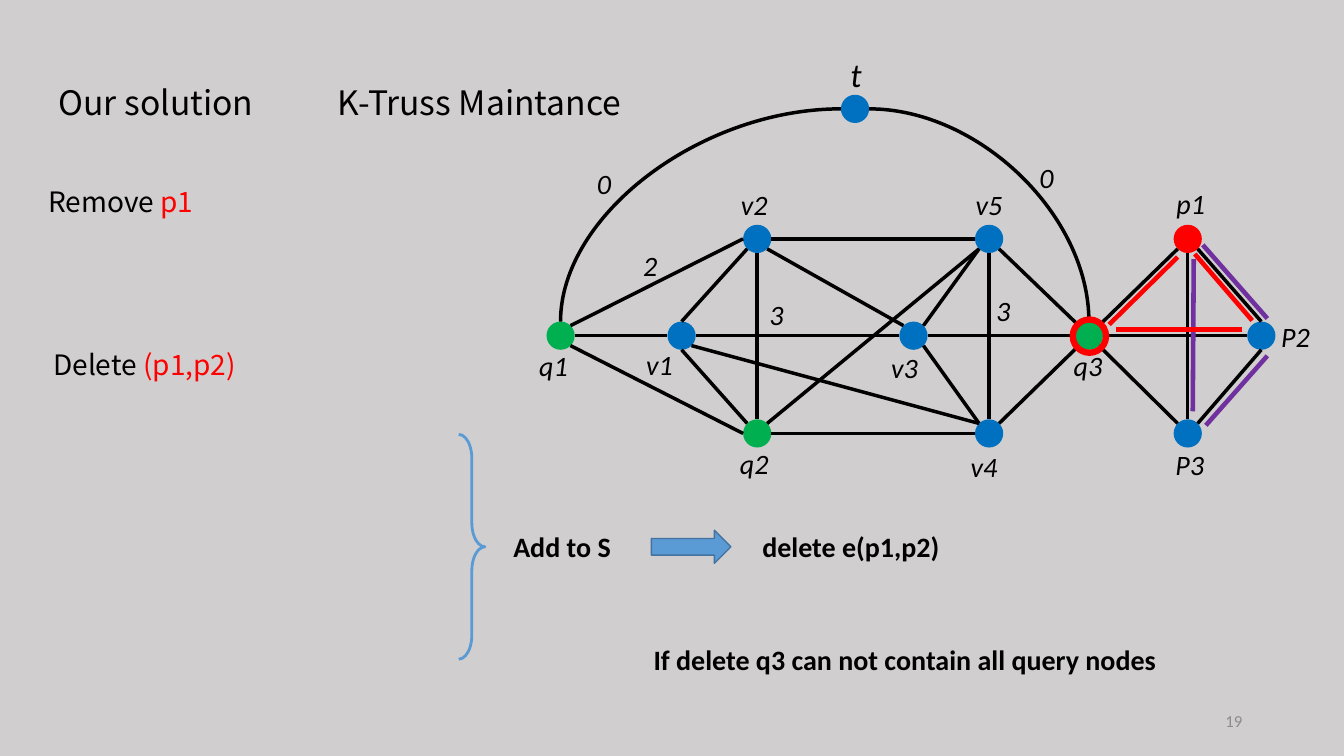
"""Build the K-Truss maintenance slide."""
import math
from typing import NamedTuple, Optional

import pptx
import pptx.dml.color
import pptx.enum.shapes
import pptx.enum.text
import pptx.oxml.ns
import pptx.util
from lxml import etree

Inches = pptx.util.Inches
Pt = pptx.util.Pt
SHAPE = pptx.enum.shapes.MSO_SHAPE
CONNECTOR = pptx.enum.shapes.MSO_CONNECTOR
ALIGN = pptx.enum.text.PP_ALIGN
ANCHOR = pptx.enum.text.MSO_ANCHOR
AUTO = pptx.enum.text.MSO_AUTO_SIZE

BLACK, RED, GREEN, BLUE, PURPLE = "000000", "FF0000", "00B050", "0070C0", "7030A0"
SKY, STEEL, GRAY, BACKDROP = "5B9BD5", "43739E", "8C8C8C", "D0CECE"
SANS, CJK = "Calibri", "Noto Sans CJK SC"
RADIUS = 0.14
LABEL_W, LABEL_H = 0.58, 0.44
COMPASS = ["E", "SE", "S", "SW", "W", "NW", "N", "NE"]


class Node(NamedTuple):
    name: str
    x: float
    y: float
    color: str
    label_left: float
    label_top: float
    size: int = 20


class Edge(NamedTuple):
    start: str
    start_side: str
    end: str
    end_side: str
    kind: int = CONNECTOR.STRAIGHT


class Stroke(NamedTuple):
    x1: float
    y1: float
    x2: float
    y2: float
    color: str


class Label(NamedTuple):
    runs: list
    left: float
    top: float
    width: float = LABEL_W
    height: float = LABEL_H
    font: dict = {"name": SANS, "size": Pt(20), "italic": True}
    align: int = ALIGN.CENTER
    spacing: float = 1.0
    wrap: bool = True
    anchor: int = ANCHOR.TOP
    auto: int = AUTO.SHAPE_TO_FIT_TEXT


NODES = [
    Node("q1", 5.56, 3.33, GREEN, 5.2, 3.41),
    Node("q2", 7.51, 4.3, GREEN, 7.19, 4.38),
    Node("v4", 9.81, 4.3, BLUE, 9.47, 4.41),
    Node("v1", 6.76, 3.33, BLUE, 6.25, 3.4),
    Node("v3", 9.06, 3.33, BLUE, 8.68, 3.43),
    Node("q3", 10.8, 3.33, GREEN, 10.5, 3.41),
    Node("v5", 9.81, 2.37, BLUE, 9.52, 1.81),
    Node("v2", 7.51, 2.37, BLUE, 7.19, 1.81),
    Node("t", 8.48, 1.08, BLUE, 8.2, 0.49, 24),
    Node("p1", 11.78, 2.37, RED, 11.52, 1.8),
    Node("P2", 12.51, 3.33, BLUE, 12.56, 3.12),
    Node("P3", 11.78, 4.3, BLUE, 11.51, 4.39),
]
EDGES = [
    Edge("q1", "E", "v1", "W"), Edge("v1", "E", "v3", "W"),
    Edge("v3", "E", "q3", "W"), Edge("q3", "E", "P2", "W"),
    Edge("p1", "SE", "P2", "N"), Edge("p1", "SW", "q3", "NE"),
    Edge("p1", "S", "P3", "N"), Edge("P2", "S", "P3", "NE"),
    Edge("q3", "SE", "P3", "NW"), Edge("q3", "SW", "v4", "NE"),
    Edge("v5", "S", "v4", "N"), Edge("v5", "SE", "q3", "NW"),
    Edge("v5", "SW", "v3", "NE"), Edge("v3", "SE", "v4", "NW"),
    Edge("v2", "S", "q2", "N"), Edge("v2", "SW", "v1", "N"),
    Edge("v1", "S", "q2", "NW"), Edge("v2", "W", "q1", "NE"),
    Edge("q1", "SE", "q2", "W"), Edge("q2", "E", "v4", "W"),
    Edge("v2", "E", "v5", "W"), Edge("v1", "SE", "v4", "NW"),
    Edge("v5", "SW", "q2", "NE"), Edge("v2", "SE", "v3", "NW"),
    Edge("t", "W", "q1", "N", CONNECTOR.CURVE),
    Edge("t", "E", "q3", "N", CONNECTOR.CURVE),
]
STROKES = [
    Stroke(11.93, 2.43, 12.57, 3.16, PURPLE),
    Stroke(12.57, 3.53, 11.96, 4.22, PURPLE),
    Stroke(11.84, 2.57, 11.83, 4.08, PURPLE),
    Stroke(11.68, 2.55, 11, 3.22, RED),
    Stroke(12.32, 3.27, 11.07, 3.27, RED),
    Stroke(12.42, 3.18, 11.85, 2.52, RED),
]
HEADING = {"name": CJK, "size": Pt(24)}
STEP = {"name": CJK, "size": Pt(20)}
BOLD = {"name": SANS, "size": Pt(20), "bold": True}
TITLE = Label([("Our solution", BLACK)], 0.48, 0.56, 2.21, 0.64, HEADING, ALIGN.LEFT, 1.5, False)
LABELS = [
    Label([("K-Truss Maintance", BLACK)], 3.25, 0.56, 3.16, 0.64, HEADING, ALIGN.LEFT, 1.5, False),
    Label([("Remove ", BLACK), ("p1", RED)], 0.38, 1.61, 1.71, 0.61, STEP, ALIGN.LEFT, 1.5, False),
    Label([("Delete", BLACK), (" (p1,p2)", RED)], 0.43, 3.23, 2.1, 0.61, STEP, ALIGN.LEFT, 1.5, False),
    Label([("0", BLACK)], 5.7, 1.6),
    Label([("0", BLACK)], 10.09, 1.54),
    Label([("2", BLACK)], 6.16, 2.42),
    Label([("3", BLACK)], 7.41, 2.9),
    Label([("3", BLACK)], 9.66, 2.86),
    Label([("Add to S", BLACK)], 4.86, 5.2, 1.43, font=BOLD),
    Label([("delete e(p1,p2)", BLACK)], 7.41, 5.2, 2.06, font=BOLD),
    Label([("If delete q3 can not contain all query nodes", BLACK)], 6.33, 6.33, 5.29, font=BOLD),
    Label([("19", GRAY)], 9.42, 6.95, 3, 0.4, {"name": SANS, "size": Pt(12)}, ALIGN.RIGHT,
          anchor=ANCHOR.MIDDLE, auto=AUTO.NONE),
]


def rgb(color: str):
    return pptx.dml.color.RGBColor.from_string(color)


def apply(target, values: dict) -> None:
    for name, value in values.items():
        setattr(target, name, value)


def write(sp, label: Label) -> None:
    apply(sp, {"left": Inches(label.left), "top": Inches(label.top),
               "width": Inches(label.width), "height": Inches(label.height)})
    tf = sp.text_frame
    apply(tf, {"word_wrap": label.wrap, "auto_size": label.auto, "vertical_anchor": label.anchor})
    p = tf.paragraphs[0]
    apply(p, {"alignment": label.align, "line_spacing": label.spacing})
    for text, color in label.runs:
        r = p.add_run()
        r.text = text
        apply(r.font, label.font)
        r.font.color.rgb = rgb(color)


def add_label(s, label: Label) -> None:
    write(s.shapes.add_textbox(0, 0, Inches(1), Inches(1)), label)


def add_figure(s, kind: int, box: tuple, fill: Optional[str] = None,
               line: Optional[str] = None, width: float = 1):
    sp = s.shapes.add_shape(kind, *map(Inches, box))
    sp.shadow.inherit = False
    if fill:
        sp.fill.solid()
        sp.fill.fore_color.rgb = rgb(fill)
    else:
        sp.fill.background()
    if line:
        sp.line.color.rgb = rgb(line)
        sp.line.width = Pt(width)
    else:
        sp.line.fill.background()
    return sp


def add_line(s, stroke: Stroke, width: float, kind: int = CONNECTOR.STRAIGHT) -> None:
    ends = map(Inches, (stroke.x1, stroke.y1, stroke.x2, stroke.y2))
    cxn = s.shapes.add_connector(kind, *ends)
    cxn.line.color.rgb = rgb(stroke.color)
    cxn.line.width = Pt(width)
    qn = pptx.oxml.ns.qn
    etree.SubElement(cxn._element.spPr, qn("a:effectLst"))
    if kind == CONNECTOR.CURVE:
        cxn._element.spPr.find(qn("a:prstGeom")).set("prst", "curvedConnector2")


def site(node: Node, side: str) -> tuple:
    angle = COMPASS.index(side) * math.pi / 4
    return node.x + RADIUS * math.cos(angle), node.y + RADIUS * math.sin(angle)


def main() -> None:
    prs = pptx.Presentation()
    apply(prs, {"slide_width": Inches(13.33), "slide_height": Inches(7.5)})
    s = prs.slides.add_slide(prs.slide_layouts[5])
    s.background.fill.solid()
    s.background.fill.fore_color.rgb = rgb(BACKDROP)
    write(s.shapes.title, TITLE)
    for node in NODES:
        box = (node.x - RADIUS, node.y - RADIUS, 2 * RADIUS, 2 * RADIUS)
        add_figure(s, SHAPE.OVAL, box, node.color)
        font = {"name": SANS, "size": Pt(node.size), "italic": True}
        add_label(s, Label([(node.name, BLACK)], node.label_left, node.label_top, font=font))
    by_name = {node.name: node for node in NODES}
    for edge in EDGES:
        start = site(by_name[edge.start], edge.start_side)
        end = site(by_name[edge.end], edge.end_side)
        add_line(s, Stroke(*start, *end, BLACK), 2.5, edge.kind)
    for label in LABELS:
        add_label(s, label)
    for stroke in STROKES:
        add_line(s, stroke, 3.25)
    brace = add_figure(s, SHAPE.RIGHT_BRACE, (4.55, 4.31, 0.26, 2.23), line=SKY, width=2)
    brace.adjustments[0] = 0.919
    add_figure(s, SHAPE.RIGHT_ARROW, (6.46, 5.26, 0.79, 0.33), SKY, STEEL)
    add_figure(s, SHAPE.OVAL, (10.64, 3.17, 0.33, 0.33), line=RED, width=4.5)
    prs.save("out.pptx")


if __name__ == "__main__":
    main()
